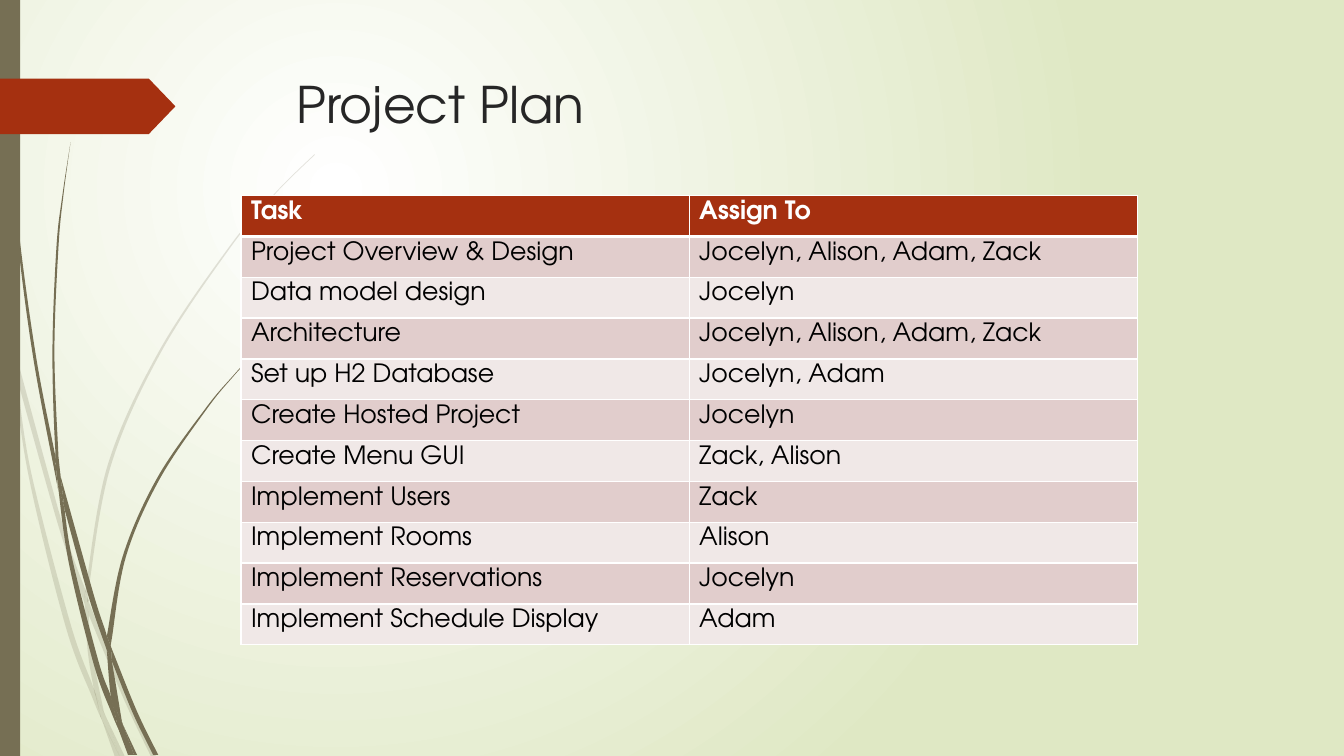
from pptx import Presentation
from pptx.dml.color import RGBColor
from pptx.enum.shapes import MSO_SHAPE
from pptx.enum.text import MSO_ANCHOR, PP_ALIGN
from pptx.oxml import parse_xml
from pptx.oxml.ns import nsdecls, qn
from pptx.util import Inches, Pt

RECT, TAG = MSO_SHAPE.RECTANGLE, MSO_SHAPE.PENTAGON
TOP, LEFT = MSO_ANCHOR.TOP, PP_ALIGN.LEFT
FONT = "TeX Gyre Adventor"
TITLE_ONLY = 5
COLORS = {
    "white": "FFFFFF", "sage": "DFE8C4", "olive": "766F54", "rust": "A53010",
    "title": "262626", "text": "000000", "band_dark": "E1CDCC", "band_light": "F0E8E7",
}
PALE_STEMS = [
    ("0.11,3.5 0.09,3.22 0,2.82", "0,2.99 0.1,3.44"),
    ("0.14,3.45 0.62,5.2 0.85,5.86", "0.84,5.99 0.58,5.22 0.17,3.76"),
    ("0.88,5.96 0.92,6.07 1.27,6.92 1.55,7.51", "1.5,7.51 1.23,6.94 0.88,6.1"),
    ("1.19,7.51 1.24,7.51", "1.05,7.11"),
    ("0.11,3.5 0.28,4.7 0.65,6.21 0.92,6.93 1.01,7.14",
     "0.99,7.07 0.93,6.83 0.7,6.19 0.31,4.69 0.17,3.76"),
    ("0.84,5.99 0.87,6.46 0.93,6.83 0.96,6.92 1.05,7.11",
     "1.03,7.06 0.91,6.46 0.88,6.1 0.88,6.08"),
    ("0.88,5.96 0.88,5.84 1.1,4.62 1.6,3.49 2.29,2.45 2.68,1.98 2.9,1.75 3.12,1.54",
     "3.12,1.53 2.89,1.75 2.68,1.97 2.28,2.44 1.58,3.48 1.07,4.61 0.85,5.84 0.85,5.86"),
    ("1.01,7.14 1.14,7.51", "1.19,7.51"),
    ("0.84,5.99 0.85,5.86", "0.88,5.96 0.88,6.1 0.88,6.08"),
    ("0.93,6.83 0.99,7.07 1.01,7.14 1.19,7.51", "1.05,7.11 0.96,6.92"),
]
DARK_STEMS = [
    ("0.03,0 0.04,0.48 0.07,1.1 0.17,2.33 0.33,3.55 0.56,4.77 0.57,4.81",
     "0.55,4.57 0.55,4.53 0.36,3.55 0.19,2.32 0.08,1.09 0.05,0.48 0.04,0"),
    ("0.6,4.72 0.93,5.9 1.06,6.31 1.06,6.45", "1.06,6.45 0.88,5.92 0.64,5.05"),
    ("1.1,6.41 1.13,6.49 1.36,7.06 1.57,7.49", "1.52,7.49 1.32,7.08 1.11,6.56"),
    ("0.57,4.77 0.68,5.57 0.93,6.59 1.11,7.08 1.17,7.22",
     "1.16,7.17 1.1,6.91 0.98,6.57 0.72,5.56 0.64,5.05"),
    ("0.6,4.72 0.55,4.49 0.52,3.49 0.56,2.45 0.62,1.93 0.7,1.41",
     "0.7,1.41 0.63,1.93 0.58,2.45 0.54,3.49 0.58,4.53"),
    ("1.33,7.49 1.36,7.49", "1.22,7.19"),
    ("0.55,4.49 0.55,4.53 0.57,4.77 0.64,5.05", "0.6,4.72 0.55,4.49"),
    ("1.1,6.41 1.11,6.33 1.25,5.52 1.58,4.76 2.05,4.06 2.31,3.74 2.45,3.59 2.61,3.44",
     "2.6,3.44 2.45,3.58 2.31,3.73 2.04,4.05 1.56,4.74 1.22,5.51 1.06,6.31"),
    ("1.17,7.22 1.27,7.49", "1.31,7.49"),
    ("1.06,6.45 1.1,6.91 1.16,7.06 1.22,7.19", "1.21,7.16 1.11,6.56 1.09,6.51"),
    ("1.06,6.31 1.06,6.45", "1.11,6.56 1.1,6.41"),
    ("1.1,6.91 1.16,7.17 1.17,7.22 1.3,7.49", "1.33,7.49 1.22,7.19 1.16,7.06"),
]
PLAN = [
    ("Task", "Assign To"),
    ("Project Overview & Design", "Jocelyn, Alison, Adam, Zack"),
    ("Data model design", "Jocelyn"),
    ("Architecture", "Jocelyn, Alison, Adam, Zack"),
    ("Set up H2 Database", "Jocelyn, Adam"),
    ("Create Hosted Project", "Jocelyn"),
    ("Create Menu GUI", "Zack, Alison"),
    ("Implement Users", "Zack"),
    ("Implement Rooms", "Alison"),
    ("Implement Reservations", "Jocelyn"),
    ("Implement Schedule Display", "Adam"),
]


def rgb(name):
    """Return the named colour."""
    return RGBColor.from_string(COLORS[name])


def paint(sp, color):
    """Give a shape a plain fill without line or shadow."""
    sp.fill.solid()
    sp.fill.fore_color.rgb = rgb(color)
    sp.line.fill.background()
    sp.shadow.inherit = False


def add_run(p, text, size, color, bold=False):
    """Add one formatted run to a paragraph."""
    r = p.add_run()
    r.text = text
    r.font.name, r.font.size, r.font.bold = FONT, Pt(size), bold
    r.font.color.rgb = rgb(color)


def add_background(s):
    """Fill the slide with a radial gradient centred at upper left."""
    fill = s.background.fill
    fill.gradient()
    for stop, color in zip(fill.gradient_stops, ("white", "sage")):
        stop.color.rgb = rgb(color)
    grad = s.element.find(".//" + qn("a:gradFill"))
    grad.replace(grad.find(qn("a:lin")), parse_xml(
        f'<a:path {nsdecls("a")} path="circle">'
        '<a:fillToRect l="50000" t="50000" r="100000" b="100000"/></a:path>'))


def round_edge(lines, knots):
    """Turn the lines along one edge into curves through its knots."""
    padded = [knots[0], *knots, knots[-1]]
    for line, a, b, c, d in zip(lines, padded, padded[1:], padded[2:], padded[3:]):
        near = [q + (r - p) / 6 for p, q, r in zip(a, b, c)]
        far = [q - (r - p) / 6 for p, q, r in zip(b, c, d)]
        pts = "".join(f'<a:pt x="{x:.0f}" y="{y:.0f}"/>' for x, y in (near, far, c))
        line.getparent().replace(line, parse_xml(
            f'<a:cubicBezTo {nsdecls("a")}>{pts}</a:cubicBezTo>'))


def add_stems(s, left, top, stems, alpha=None):
    """Draw curved stem pieces, each given by its two edges."""
    for stem in stems:
        edges = [[tuple(map(float, knot.split(","))) for knot in edge.split()]
                 for edge in stem]
        points = [(Inches(left + x), Inches(top + y)) for edge in edges for x, y in edge]
        builder = s.shapes.build_freeform(*points[0])
        builder.add_line_segments(points[1:], close=True)
        sp = builder.convert_to_shape()
        paint(sp, "olive")
        lines = sp.element.findall(".//" + qn("a:lnTo"))
        knots = [(x - sp.left, y - sp.top) for x, y in points]
        n = len(edges[0])
        round_edge(lines[:n - 1], knots[:n])
        round_edge(lines[n:len(points) - 1], knots[n:])
        if alpha:
            color = sp.element.find(".//" + qn("a:srgbClr"))
            color.append(parse_xml(f'<a:alpha {nsdecls("a")} val="{alpha * 1000}"/>'))


def add_side_decor(s, left, top, height):
    """Draw the stems, the side bar and the page tag."""
    add_stems(s, left, top, PALE_STEMS, alpha=20)
    add_stems(s, left, top, DARK_STEMS)
    bar = s.shapes.add_shape(RECT, Inches(left), Inches(top), Inches(0.2), Inches(height))
    tag = s.shapes.add_shape(
        TAG, Inches(left), Inches(top + 0.78), Inches(1.74), Inches(0.55))
    tag.adjustments[0] = 0.48
    paint(bar, "olive")
    paint(tag, "rust")


def add_title(s, left, top, width, height, text):
    """Place and format the title placeholder."""
    sp = s.shapes.title
    sp.left, sp.top, sp.width, sp.height = map(Inches, (left, top, width, height))
    tf = sp.text_frame
    tf.word_wrap, tf.vertical_anchor = True, TOP
    p = tf.paragraphs[0]
    p.alignment = LEFT
    add_run(p, text, 36, "title")


def set_borders(cell, header):
    """Give a cell white borders, thicker below the header row."""
    tcPr = cell._tc.get_or_add_tcPr()
    for i, side in enumerate("LRTB"):
        width = Pt(3 if header and side == "B" else 1)
        tcPr.insert(i, parse_xml(
            f'<a:ln{side} {nsdecls("a")} w="{width}"><a:solidFill>'
            f'<a:srgbClr val="{COLORS["white"]}"/></a:solidFill></a:ln{side}>'))


def add_plan_table(s, left, top, width, height, rows):
    """Draw the banded table of tasks and people."""
    table = s.shapes.add_table(
        len(rows), len(rows[0]), *map(Inches, (left, top, width, height))).table
    for i, row in enumerate(rows):
        header = i == 0
        fill = "rust" if header else ("band_light", "band_dark")[i % 2]
        for j, text in enumerate(row):
            cell = table.cell(i, j)
            cell.fill.solid()
            cell.fill.fore_color.rgb = rgb(fill)
            set_borders(cell, header)
            add_run(cell.text_frame.paragraphs[0], text, 18,
                    "white" if header else "text", header)


def build_plan_slide(prs):
    """Build the project plan slide."""
    s = prs.slides.add_slide(prs.slide_layouts[TITLE_ONLY])
    add_background(s)
    add_side_decor(s, 0, 0, 7.5)
    add_title(s, 2.84, 0.68, 9.75, 1.4, "Project Plan")
    add_plan_table(s, 2.39, 1.94, 8.89, 4.46, PLAN)


prs = Presentation()
prs.slide_width, prs.slide_height = Inches(13.33), Inches(7.5)
build_plan_slide(prs)
prs.save("out.pptx")
